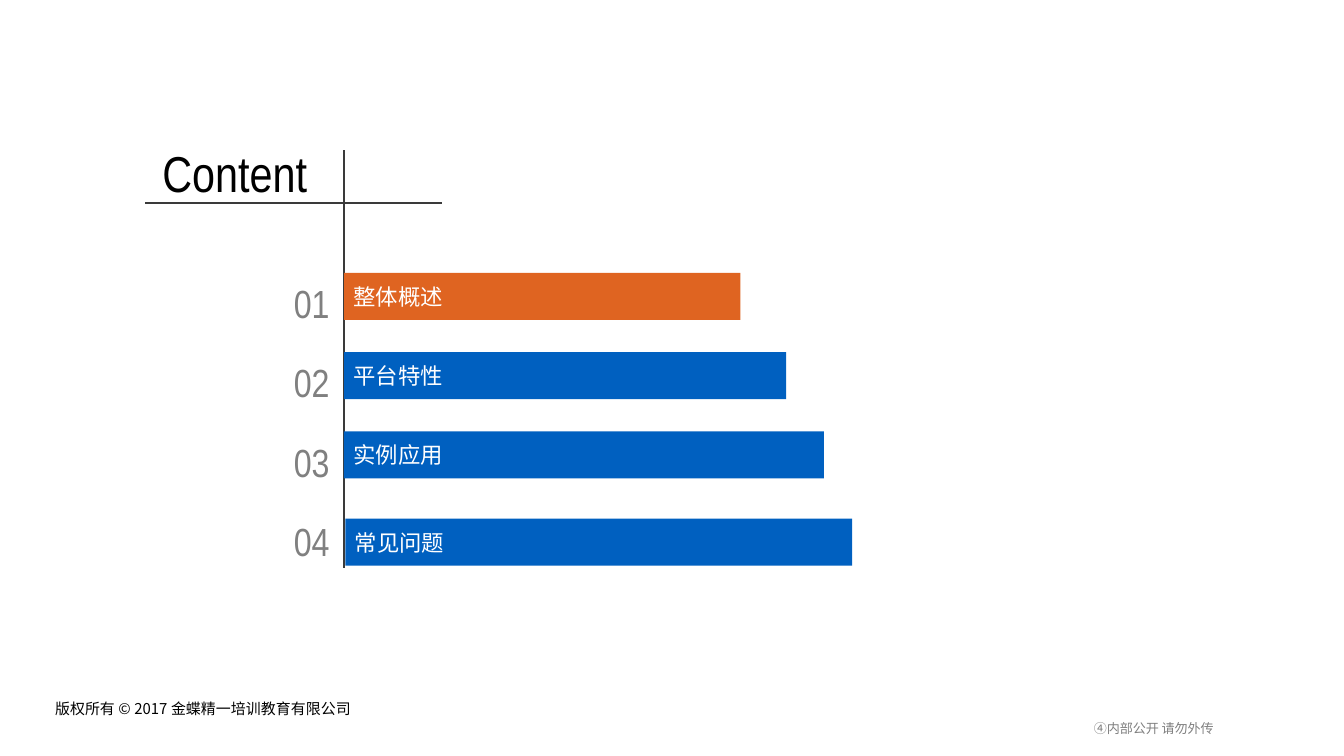
"""Build the content slide with four numbered bars."""
from lxml import etree
from pptx import Presentation, util as u
from pptx.dml.color import RGBColor
from pptx.enum import shapes, text
from pptx.oxml.ns import qn

SLIDE_WIDTH = 10
SLIDE_HEIGHT = SLIDE_WIDTH * 9 / 16
AXIS_X, BAR_HEIGHT = 2.56, 0.35
NUMBER_TOP, ROW_STEP = 1.96, 0.59
SECTIONS = [
    ("整体概述", AXIS_X, 2.03, 2.95, "DF6421"),
    ("平台特性", AXIS_X, 2.62, 3.29, "0060C0"),
    ("实例应用", AXIS_X, 3.21, 3.57, "0060C0"),
    ("常见问题", 2.57, 3.86, 3.77, "0060C0"),
]
RULES = [(AXIS_X, 1.12, AXIS_X, 4.23), (1.08, 1.51, 3.29, 1.51)]
LEFT, RIGHT = text.PP_ALIGN.LEFT, text.PP_ALIGN.RIGHT
TOP, MIDDLE = text.MSO_ANCHOR.TOP, text.MSO_ANCHOR.MIDDLE
TITLE = dict(size=27, name="Arial Narrow", color="000000")
NUMBER = dict(size=21, name="Arial Narrow", color="808080",
              alignment=RIGHT, line_spacing=1.2)
LABEL = dict(size=12, name="Arial", color="FFFFFF",
             anchor=MIDDLE, insets=(0.07, 0.04))
FOOTER = dict(size=8, name="Noto Sans CJK SC", color="000000", anchor=MIDDLE,
              insets=(0.06, 0.01), line_spacing=u.Pt(10.5))
NOTICE = {**FOOTER, "size": 7, "color": "7F7F7F", "alignment": RIGHT}
TEXTS = [
    ("版权所有 © 2017 金蝶精一培训教育有限公司", (0.35, 5.13, 3.15, 0.27), FOOTER),
    ("④内部公开 请勿外传", (7.32, 5.27, 1.77, 0.27), NOTICE),
    ("Content", (1.11, 1.01, 2.04, 0.44), TITLE),
]


def rgb(value):
    """Return the colour for a hex string."""
    return RGBColor.from_string(value)


def inches(values):
    """Convert numbers to lengths."""
    return [u.Inches(value) for value in values]


def write(shape, words, style):
    """Put one formatted paragraph in a shape."""
    frame = shape.text_frame
    across, down = inches(style.get("insets", (0.1, 0.05)))
    layout = dict(word_wrap=True, vertical_anchor=style.get("anchor", TOP),
                  margin_left=across, margin_right=across,
                  margin_top=down, margin_bottom=down)
    for key, value in layout.items():
        setattr(frame, key, value)
    paragraph = frame.paragraphs[0]
    paragraph.alignment = style.get("alignment", LEFT)
    paragraph.line_spacing = style.get("line_spacing")
    run = paragraph.add_run()
    run.text = words
    for key, value in dict(size=u.Pt(style["size"]), name=style["name"]).items():
        setattr(run.font, key, value)
    run.font.color.rgb = rgb(style["color"])


def add_text(slide, words, box, style):
    """Add a text box."""
    write(slide.shapes.add_textbox(*inches(box)), words, style)


def add_rule(slide, ends):
    """Add a thin straight line."""
    line = slide.shapes.add_connector(shapes.MSO_CONNECTOR.STRAIGHT, *inches(ends))
    line.line.color.rgb = rgb("3A3A3A")
    line.line.width = u.Pt(1)
    etree.SubElement(line._element.spPr, qn("a:effectLst"))


def add_bar(slide, words, box, color):
    """Add a filled section bar."""
    bar = slide.shapes.add_shape(shapes.MSO_SHAPE.RECTANGLE, *inches(box))
    bar.shadow.inherit = False
    bar.fill.solid()
    bar.fill.fore_color.rgb = rgb(color)
    bar.line.fill.background()
    write(bar, words, LABEL)


def main():
    """Assemble and save the slide."""
    presentation = Presentation()
    presentation.slide_width = u.Inches(SLIDE_WIDTH)
    presentation.slide_height = u.Inches(SLIDE_HEIGHT)
    slide = presentation.slides.add_slide(presentation.slide_layouts[6])
    for words, box, style in TEXTS:
        add_text(slide, words, box, style)
    for ends in RULES:
        add_rule(slide, ends)
    for index, (words, left, top, width, color) in enumerate(SECTIONS):
        number_box = (1.97, NUMBER_TOP + index * ROW_STEP, 0.58, 0.53)
        add_text(slide, f"{index + 1:02}", number_box, NUMBER)
        add_bar(slide, words, (left, top, width, BAR_HEIGHT), color)
    presentation.save("out.pptx")


if __name__ == "__main__":
    main()
